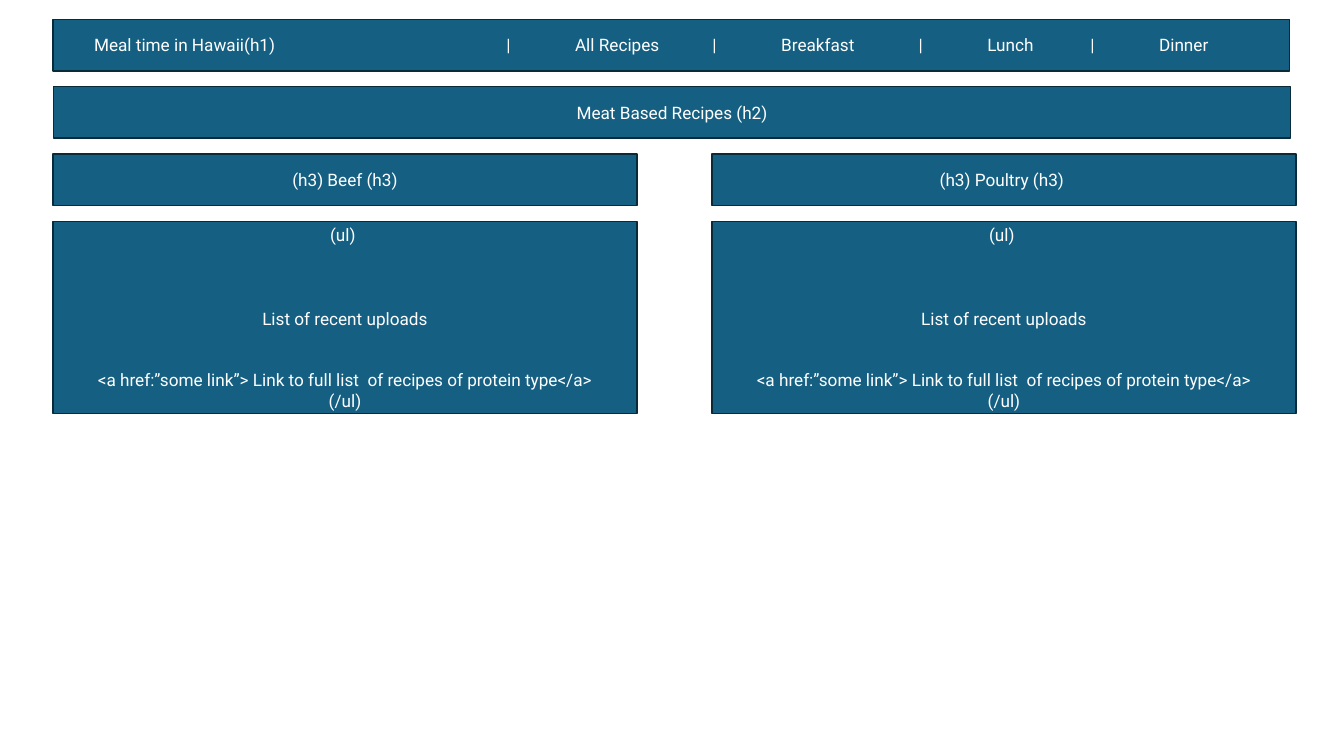
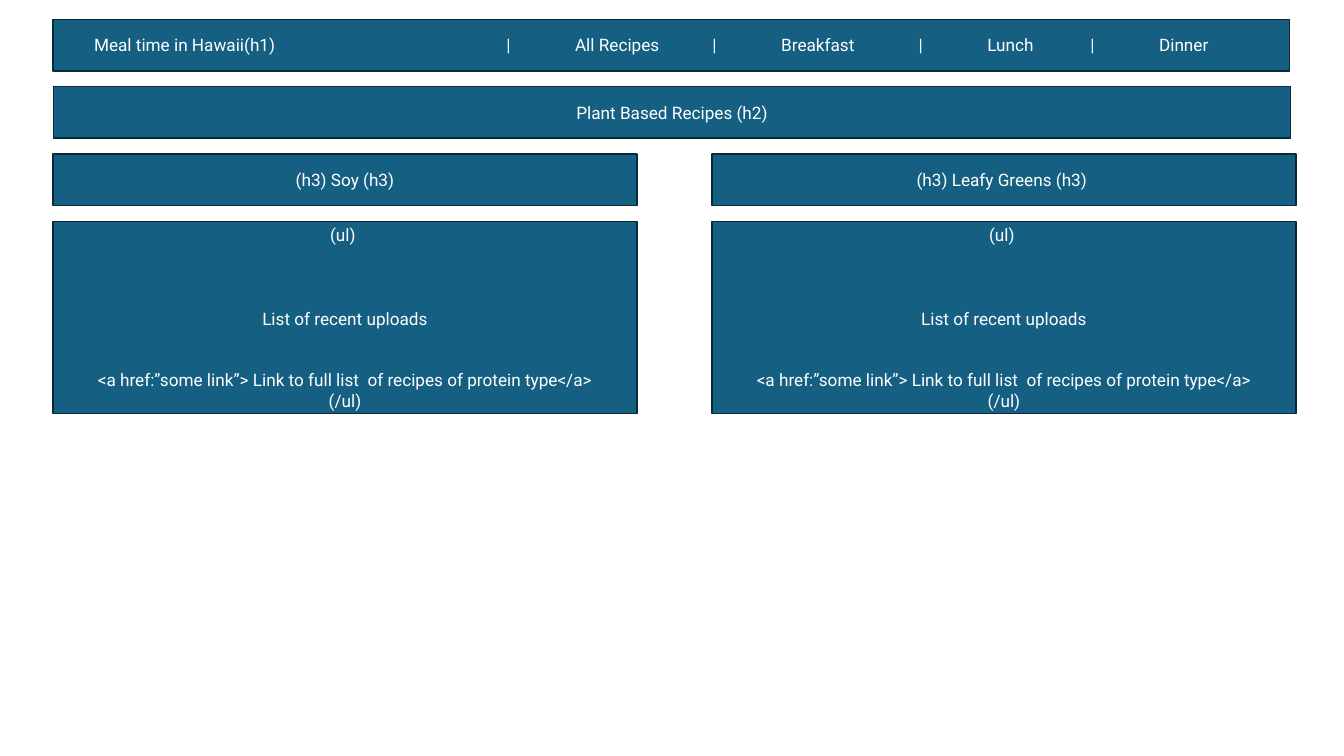
from dataclasses import dataclass

from lxml.etree import SubElement
from pptx import Presentation
from pptx.dml.color import RGBColor
from pptx.enum.shapes import MSO_SHAPE
from pptx.enum.text import MSO_ANCHOR, MSO_AUTO_SIZE, PP_ALIGN
from pptx.oxml.ns import qn
from pptx.util import Pt

SITE_NAME = "Meal time in Hawaii(h1)"
MENU = ["All Recipes", "Breakfast", "Lunch", "Dinner"]
MENU_STOPS = [36, 468, 540, 684, 756, 900, 972, 1080, 1152]
RECIPE_LIST = [
    ("(ul) ", 0),
    ("List of recent uploads", 66),
    ("<a href:”some link”> Link to full list  of recipes of protein type</a>", 43),
    ("(/ul)", 0),
]
PAGES = [
    ("Meat Based Recipes (h2)", ["(h3) Beef (h3)", "(h3) Poultry (h3) "]),
    ("Plant Based Recipes (h2)", ["(h3) Soy (h3)", "(h3) Leafy Greens (h3) "]),
]

PAGE_WIDTH, PAGE_HEIGHT = 1408.32, 792
LEFT, TOP = 55.5, 20.2
BAND_WIDTH, BAND_HEIGHT = 1296, 54
ROW_STEP = 70.56
COLUMN_WIDTH, COLUMN_STEP = 612, 690.5
LIST_HEIGHT = 201.6


@dataclass(frozen=True)
class Theme:
    fill: RGBColor = RGBColor.from_string("156082")
    outline: RGBColor = RGBColor.from_string("092A39")
    text: RGBColor = RGBColor.from_string("FFFFFF")
    font: str = "Roboto"
    size: int = 18
    line_width: float = 1.5


THEME = Theme()


def row_top(row):
    return TOP + row * ROW_STEP


def style_box(box, lines, align=PP_ALIGN.CENTER):
    box.fill.solid()
    box.fill.fore_color.rgb = THEME.fill
    box.line.color.rgb = THEME.outline
    box.line.width = Pt(THEME.line_width)
    frame = box.text_frame
    frame.text = "\n".join(text for text, _ in lines)
    frame.word_wrap = True
    frame.auto_size = MSO_AUTO_SIZE.NONE
    frame.vertical_anchor = MSO_ANCHOR.MIDDLE
    for para, (_, gap) in zip(frame.paragraphs, lines):
        para.alignment = align
        para.space_before = Pt(gap)
        for span in para.runs:
            span.font.name = THEME.font
            span.font.size = Pt(THEME.size)
            span.font.color.rgb = THEME.text


def add_box(page, left, row, width, height, lines, align=PP_ALIGN.CENTER):
    box = page.shapes.add_shape(
        MSO_SHAPE.RECTANGLE, Pt(left), Pt(row_top(row)), Pt(width), Pt(height)
    )
    box.shadow.inherit = False
    style_box(box, lines, align)
    return box


def add_menu(page):
    text = "\t" + "\t|\t".join([SITE_NAME, *MENU])
    box = add_box(page, LEFT, 0, BAND_WIDTH, BAND_HEIGHT, [(text, 0)], PP_ALIGN.LEFT)
    properties = box.text_frame.paragraphs[0]._p.get_or_add_pPr()
    stops = SubElement(properties, qn("a:tabLst"))
    for stop in MENU_STOPS:
        SubElement(stops, qn("a:tab"), pos=str(Pt(stop)), algn="l")


def add_title(page, text):
    title = page.shapes.title
    title.left, title.top = Pt(LEFT + 0.7), Pt(row_top(1))
    title.width, title.height = Pt(BAND_WIDTH), Pt(BAND_HEIGHT)
    style_box(title, [(text, 0)])


def add_page(deck, heading, groups):
    page = deck.slides.add_slide(deck.slide_layouts[5])
    add_menu(page)
    add_title(page, heading)
    for column, group in enumerate(groups):
        left = LEFT + column * COLUMN_STEP
        add_box(page, left, 2, COLUMN_WIDTH, BAND_HEIGHT, [(group, 0)])
        add_box(page, left, 3, COLUMN_WIDTH, LIST_HEIGHT, RECIPE_LIST)


def main():
    deck = Presentation()
    deck.slide_width, deck.slide_height = Pt(PAGE_WIDTH), Pt(PAGE_HEIGHT)
    for heading, groups in PAGES:
        add_page(deck, heading, groups)
    deck.save("out.pptx")


if __name__ == "__main__":
    main()
